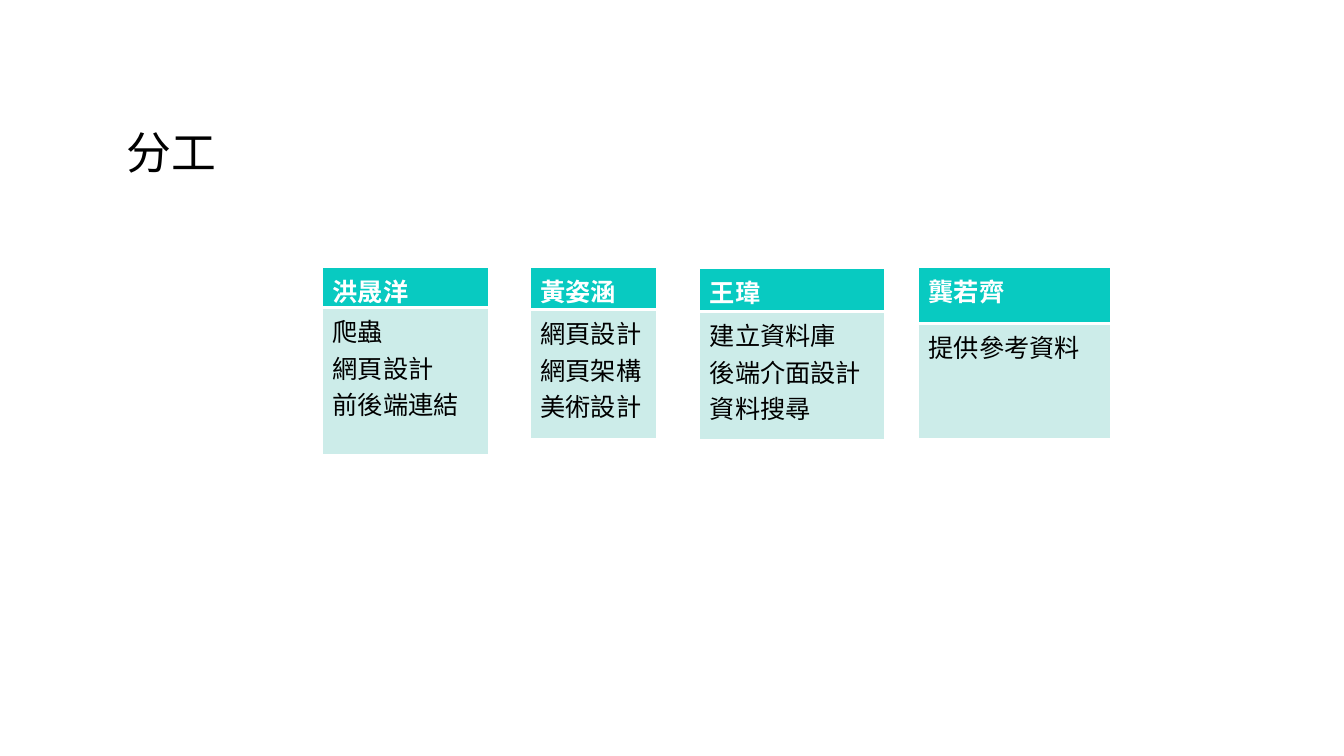
from dataclasses import dataclass

from lxml import etree
from pptx import Presentation
from pptx import util as u
from pptx.dml.color import RGBColor
from pptx.enum import text
from pptx.oxml import ns


@dataclass(frozen=True)
class Theme:
    """Colours, fonts and type sizes of the slide."""
    ink: str = "000000"
    paper: str = "FFFFFF"
    header: str = "08CAC1"
    body: str = "CCECE9"
    latin: str = "Cambria"
    chinese: str = "Noto Sans CJK TC"
    title_size: int = 32
    table_size: int = 18


class Deck:
    """Draws titles and duty tables on the current slide."""

    def __init__(self, theme):
        """Start a presentation with one blank slide."""
        self.theme = theme
        self.prs = Presentation()
        self.prs.slide_width = u.Inches(13.33)
        self.prs.slide_height = u.Inches(7.5)
        self.slide = self.prs.slides.add_slide(self.prs.slide_layouts[6])

    def add_words(self, paragraph, words, size, color, latin, bold=False):
        """Add one styled run to a paragraph."""
        run = paragraph.add_run()
        run.text = words
        run.font.name = latin
        run.font.size = u.Pt(size)
        run.font.bold = bold
        run.font.color.rgb = RGBColor.from_string(color)
        east_asian = etree.SubElement(run.font._element, ns.qn("a:ea"))
        east_asian.set("typeface", self.theme.chinese)

    def title(self, words, left, top, width, height):
        """Add the slide title, resting on the bottom of its box."""
        heading = self.slide.shapes.add_textbox(*map(u.Inches, (left, top, width, height)))
        frame = heading.text_frame
        frame.word_wrap = True
        frame.vertical_anchor = text.MSO_ANCHOR.BOTTOM
        frame.paragraphs[0].line_spacing = 0.9
        self.add_words(frame.paragraphs[0], words, self.theme.title_size,
                       self.theme.ink, self.theme.chinese)

    def cell(self, cell, lines, fill, color, bold, edges):
        """Fill a table cell with lines of text and white borders."""
        properties = cell._tc.get_or_add_tcPr()
        for side, points in edges.items():
            border = etree.SubElement(properties, ns.qn(f"a:{side}"), w=str(u.Pt(points)))
            solid = etree.SubElement(border, ns.qn("a:solidFill"))
            etree.SubElement(solid, ns.qn("a:srgbClr"), val=self.theme.paper)
        cell.fill.solid()
        cell.fill.fore_color.rgb = RGBColor.from_string(fill)
        frame = cell.text_frame
        for index, line in enumerate(lines):
            paragraph = frame.add_paragraph() if index else frame.paragraphs[0]
            self.add_words(paragraph, line, self.theme.table_size, color,
                           self.theme.latin, bold)

    def duties(self, member, tasks, left, top, width, heights):
        """Add a member's table: name above, tasks below."""
        box = map(u.Inches, (left, top, width, sum(heights)))
        table = self.slide.shapes.add_table(2, 1, *box).table
        for row, height in zip(table.rows, heights):
            row.height = u.Inches(height)
        thin = dict.fromkeys(("lnL", "lnR", "lnT", "lnB"), 1)
        self.cell(table.cell(0, 0), [member], self.theme.header,
                  self.theme.paper, True, {**thin, "lnB": 3})
        self.cell(table.cell(1, 0), tasks, self.theme.body,
                  self.theme.ink, False, {**thin, "lnT": 3})

    def save(self):
        """Save the presentation."""
        self.prs.save("out.pptx")


MEMBERS = [
    ("洪晟洋", ["爬蟲", "網頁設計", "前後端連結"], 3.2, 2.65, 1.65, (0.39, 1.46)),
    ("黃姿涵", ["網頁設計", "網頁架構", "美術設計"], 5.26, 2.65, 1.25, (0.42, 1.28)),
    ("龔若齊", ["提供參考資料"], 9.11, 2.65, 1.91, (0.56, 1.14)),
    ("王瑋", ["建立資料庫", "後端介面設計", "資料搜尋"], 6.94, 2.66, 1.83, (0.43, 1.27)),
]


def main():
    """Build the division-of-work slide."""
    deck = Deck(Theme())
    deck.title("分工", 1.16, 0.58, 10.5, 1.25)
    for member in MEMBERS:
        deck.duties(*member)
    deck.save()


if __name__ == "__main__":
    main()
